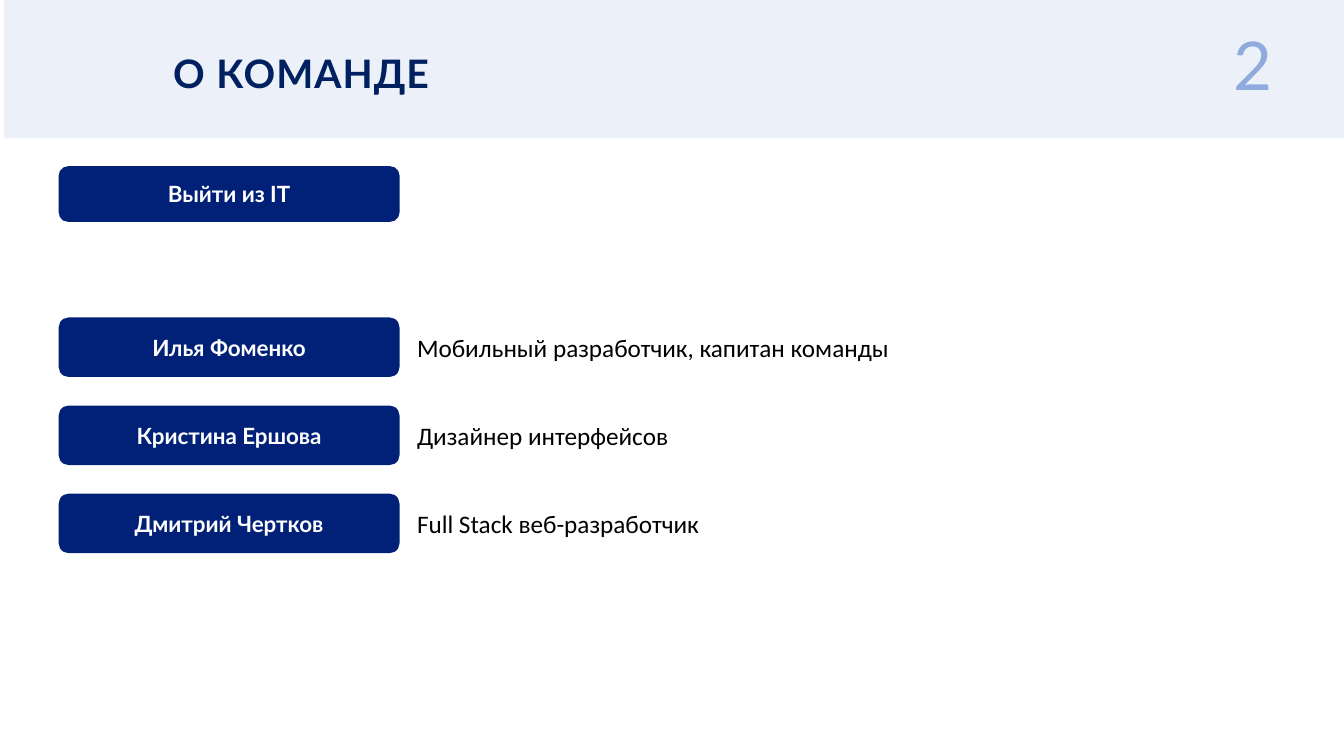
from lxml.etree import SubElement
from pptx import Presentation
from pptx.dml.color import RGBColor
from pptx.enum.shapes import MSO_SHAPE
from pptx.enum.text import MSO_ANCHOR, MSO_AUTO_SIZE, PP_ALIGN
from pptx.oxml.ns import qn
from pptx.util import Cm, Pt

HEADING = "О КОМАНДЕ"
PAGE_NUMBER = "2"
TEAM_NAME = "Выйти из IT"
MEMBERS = [  # name, role, width of the role in cm
    ("Илья Фоменко", "Мобильный разработчик, капитан команды", 12.55),
    ("Кристина Ершова", "Дизайнер интерфейсов", 6.93),
    ("Дмитрий Чертков", "Full Stack веб-разработчик", 7.7),
]

COLORS = {
    "band": "DAE3F3",
    "heading": "002060",
    "number": "8FAADC",
    "badge": "002177",
    "badge_text": "FFFFFF",
    "role": "000000",
}
FORMATS = {
    "heading": {"name": "Lato", "size": Pt(28), "bold": True},
    "number": {"name": "Lato", "size": Pt(48), "bold": False},
    "badge_text": {"name": "Lato", "size": Pt(16), "bold": True},
    "role": {"name": "Calibri", "size": Pt(18), "bold": False},
}

SLIDE_W, SLIDE_H = 33.87, 19.05
BAND_LEFT, BAND_H = 0.1, 3.48
BADGE_LEFT, BADGE_W = 1.48, 8.59
TEAM_TOP, TEAM_H = 4.19, 1.4
MEMBER_TOP, MEMBER_H, MEMBER_STEP = 8, 1.5, 2.22
ROLE_LEFT, ROLE_H = 10.26, 1.02


def write(shape, text, style, align, anchor=MSO_ANCHOR.MIDDLE, wrap=True):
    frame = shape.text_frame
    frame.word_wrap = wrap
    frame.vertical_anchor = anchor
    paragraph = frame.paragraphs[0]
    paragraph.alignment = align
    run = paragraph.add_run()
    run.text = text
    for attribute, value in FORMATS[style].items():
        setattr(run.font, attribute, value)
    run.font.color.rgb = RGBColor.from_string(COLORS[style])
    return paragraph


def add_block(slide, preset, box, color):
    block = slide.shapes.add_shape(preset, *map(Cm, box))
    block.shadow.inherit = False
    block.fill.solid()
    block.fill.fore_color.rgb = RGBColor.from_string(COLORS[color])
    block.line.fill.background()
    return block


def add_badge(slide, text, top, height):
    box = (BADGE_LEFT, top, BADGE_W, height)
    badge = add_block(slide, MSO_SHAPE.ROUNDED_RECTANGLE, box, "badge")
    write(badge, text, "badge_text", PP_ALIGN.CENTER)


def add_header(slide):
    band_box = (BAND_LEFT, 0, SLIDE_W - BAND_LEFT, BAND_H)
    band = add_block(slide, MSO_SHAPE.RECTANGLE, band_box, "band")
    band_color = band.fill._xPr.find(f".//{qn('a:srgbClr')}")
    SubElement(band_color, qn("a:alpha"), val="50000")

    heading = slide.shapes.title
    heading._element.addprevious(band._element)  # band lies behind the heading
    heading.left, heading.top, heading.width, heading.height = map(
        Cm, (4.11, 1.12, 22.5, 1.45))
    heading.text_frame.auto_size = MSO_AUTO_SIZE.NONE
    paragraph = write(heading, HEADING, "heading", PP_ALIGN.LEFT)
    paragraph.runs[0].font._element.set("spc", "80")

    number = slide.shapes.add_textbox(*map(Cm, (29.9, 0.94, 3.35, 1.8)))
    paragraph = write(number, PAGE_NUMBER, "number", PP_ALIGN.CENTER, MSO_ANCHOR.TOP)
    paragraph.line_spacing = 0.75


def add_members(slide):
    for index, (name, role, role_width) in enumerate(MEMBERS):
        top = MEMBER_TOP + index * MEMBER_STEP
        add_badge(slide, name, top, MEMBER_H)
        role_top = top + (MEMBER_H - ROLE_H) / 2
        role_box = slide.shapes.add_textbox(
            *map(Cm, (ROLE_LEFT, role_top, role_width, ROLE_H)))
        write(role_box, role, "role", PP_ALIGN.LEFT, wrap=False)


def main():
    presentation = Presentation()
    presentation.slide_width, presentation.slide_height = Cm(SLIDE_W), Cm(SLIDE_H)
    slide = presentation.slides.add_slide(presentation.slide_layouts[5])
    add_header(slide)
    add_badge(slide, TEAM_NAME, TEAM_TOP, TEAM_H)
    add_members(slide)
    presentation.save("out.pptx")


if __name__ == "__main__":
    main()
